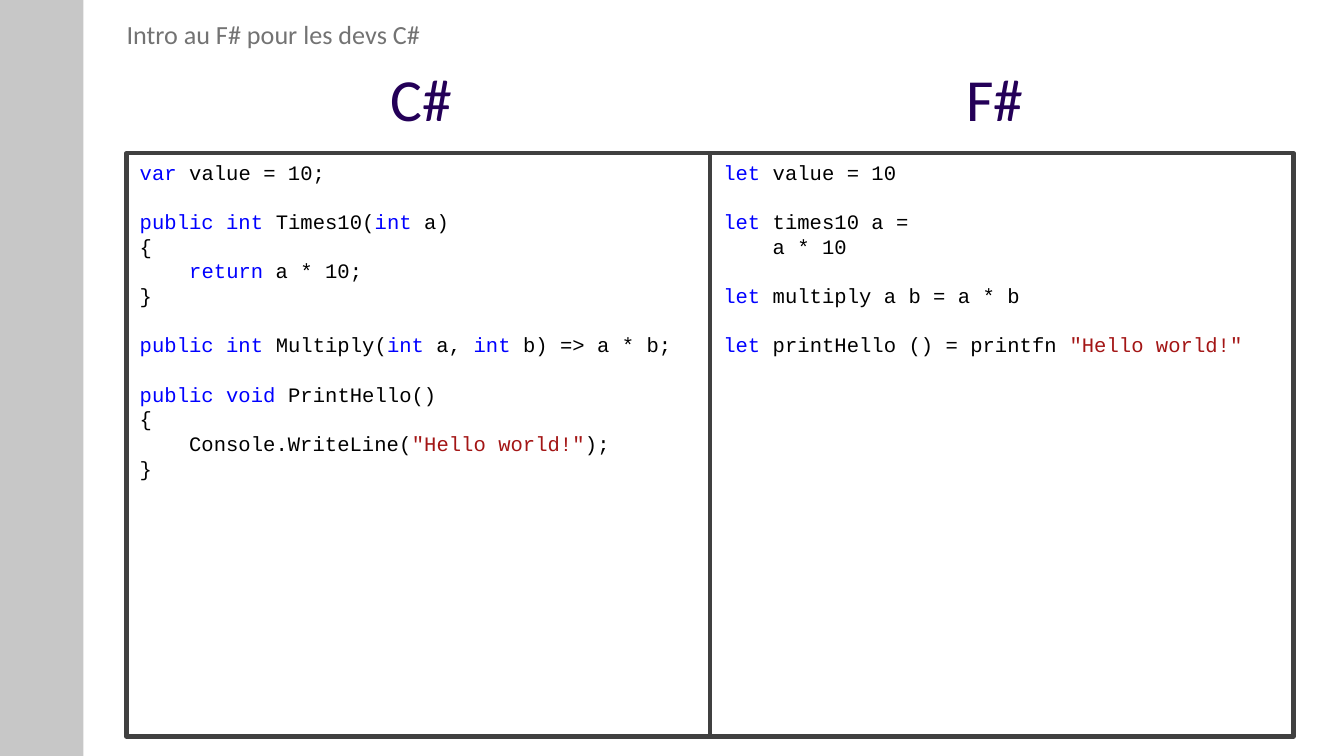
from pptx import Presentation
from pptx.dml.color import RGBColor
from pptx.enum.shapes import MSO_SHAPE
from pptx.enum.text import MSO_ANCHOR, PP_ALIGN
from pptx.oxml.ns import qn
from pptx.util import Pt
from lxml import etree

RECTANGLE = MSO_SHAPE.RECTANGLE
TOP, LEFT = MSO_ANCHOR.TOP, PP_ALIGN.LEFT

PURPLE = RGBColor(0x24, 0x00, 0x58)
GREY = RGBColor(0x73, 0x73, 0x73)
BAR = RGBColor(0xC7, 0xC7, 0xC7)
BORDER = RGBColor(0x40, 0x40, 0x40)
WHITE = RGBColor(0xFF, 0xFF, 0xFF)
PLAIN = RGBColor(0x00, 0x00, 0x00)
KEYWORD = RGBColor(0x00, 0x00, 0xFF)
STRING = RGBColor(0xA3, 0x15, 0x15)

# Content: each code line is a list of (text, colour); an empty list is a gap
SUBTITLE = "Intro au F# pour les devs C#"
PANELS = [
    ("C#", [
        [("var", KEYWORD), (" value = 10;", PLAIN)],
        [],
        [("public int ", KEYWORD), ("Times10(", PLAIN), ("int", KEYWORD), (" a)", PLAIN)],
        [("{", PLAIN)],
        [("    ", PLAIN), ("return", KEYWORD), (" a * 10;", PLAIN)],
        [("}", PLAIN)],
        [],
        [("public int ", KEYWORD), ("Multiply(", PLAIN), ("int", KEYWORD), (" a, ", PLAIN),
         ("int", KEYWORD), (" b) => a * b;", PLAIN)],
        [],
        [("public void ", KEYWORD), ("PrintHello()", PLAIN)],
        [("{", PLAIN)],
        [("    Console.WriteLine(", PLAIN), ('"Hello world!"', STRING), (");", PLAIN)],
        [("}", PLAIN)],
    ]),
    ("F#", [
        [("let", KEYWORD), (" value = 10", PLAIN)],
        [],
        [("let", KEYWORD), (" times10 a =", PLAIN)],
        [("    a * 10", PLAIN)],
        [],
        [("let", KEYWORD), (" multiply a b = a * b", PLAIN)],
        [],
        [("let ", KEYWORD), ("printHello () = printfn ", PLAIN), ('"Hello world!"', STRING)],
    ]),
]

# Layout, in points
SLIDE_WIDTH, SLIDE_HEIGHT = 720, 405
BAR_WIDTH = 44.64
PANEL_LEFT, PANEL_TOP, PANEL_SIZE = 67.8, 82, 312.6
TITLE_BOX = (95, 38.9, 602.6, 51.8)
SUBTITLE_BOX = (67.8, 12.2, 264, 14.4)
HEADING_CENTRES = (226, 533)
CODE_LINE = 13.2


def place(shape, left, top, width, height):
    shape.left, shape.top = Pt(left), Pt(top)
    shape.width, shape.height = Pt(width), Pt(height)


def prepare_frame(shape, inset_x=0, inset_y=0):
    frame = shape.text_frame
    frame.word_wrap = True
    frame.vertical_anchor = TOP
    frame.margin_left = frame.margin_right = Pt(inset_x)
    frame.margin_top = frame.margin_bottom = Pt(inset_y)
    return frame


def write(paragraph, runs, font="Calibri", size=14, line_spacing=0.85, space_before=0):
    paragraph.alignment = LEFT
    paragraph.line_spacing = line_spacing
    paragraph.space_before = Pt(space_before)
    for text, colour in runs:
        run = paragraph.add_run()
        run.text = text
        run.font.name = font
        run.font.size = Pt(size)
        run.font.color.rgb = colour


def add_rectangle(slide, box, fill, border=None):
    shape = slide.shapes.add_shape(RECTANGLE, *(Pt(value) for value in box))
    shape.shadow.inherit = False
    shape.fill.solid()
    shape.fill.fore_color.rgb = fill
    if border is None:
        shape.line.fill.background()
    else:
        shape.line.color.rgb = border
        shape.line.width = Pt(2.25)
    return shape


presentation = Presentation()
presentation.slide_width = Pt(SLIDE_WIDTH)
presentation.slide_height = Pt(SLIDE_HEIGHT)
slide = presentation.slides.add_slide(presentation.slide_layouts[1])

# Side bar
add_rectangle(slide, (0, 0, BAR_WIDTH, SLIDE_HEIGHT), BAR)

# Title: one centred tab stop over each panel
title = slide.shapes.title
place(title, *TITLE_BOX)
paragraph = prepare_frame(title).paragraphs[0]
tab_list = etree.SubElement(paragraph._p.get_or_add_pPr(), qn("a:tabLst"))
for centre in HEADING_CENTRES:
    etree.SubElement(tab_list, qn("a:tab"), pos=str(Pt(centre - TITLE_BOX[0])), algn="ctr")
headings = "".join("\t" + heading for heading, _ in PANELS)
write(paragraph, [(headings, PURPLE)], size=32)

# Subtitle without bullet
subtitle = slide.placeholders[1]
place(subtitle, *SUBTITLE_BOX)
paragraph = prepare_frame(subtitle).paragraphs[0]
properties = paragraph._p.get_or_add_pPr()
properties.set("marL", "0")
properties.set("indent", "0")
etree.SubElement(properties, qn("a:buNone"))
write(paragraph, [(SUBTITLE, GREY)])

# Code panels side by side
for index, (_, lines) in enumerate(PANELS):
    left = PANEL_LEFT + index * PANEL_SIZE
    panel = add_rectangle(slide, (left, PANEL_TOP, PANEL_SIZE, PANEL_SIZE), WHITE, BORDER)
    frame = prepare_frame(panel, inset_x=7.2, inset_y=3.6)
    paragraph, gap = frame.paragraphs[0], 0
    for number, runs in enumerate(lines):
        if not runs:
            gap = CODE_LINE
            continue
        if number:
            paragraph = frame.add_paragraph()
        write(paragraph, runs, font="Courier New", size=11,
              line_spacing=Pt(CODE_LINE), space_before=gap)
        gap = 0

presentation.save("out.pptx")
